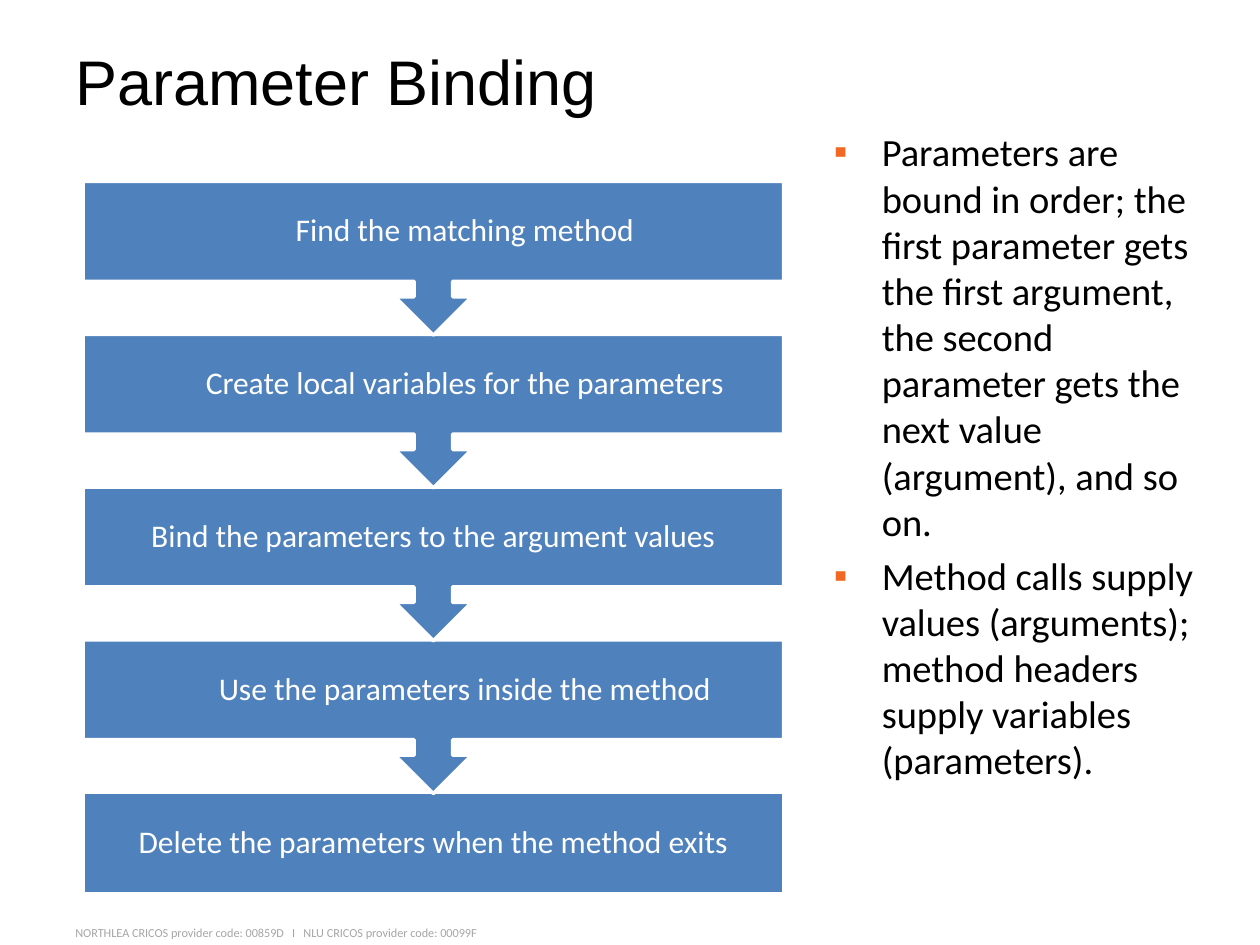
from dataclasses import dataclass
from lxml import etree
from pptx import Presentation
from pptx.dml.color import RGBColor as RGB
from pptx.enum.shapes import MSO_SHAPE as Shape
from pptx.enum.text import MSO_ANCHOR as Anchor, PP_ALIGN as Align
from pptx.oxml.ns import qn
from pptx.util import Inches, Pt


@dataclass(frozen=True)
class Theme:
    ink: str = "000000"
    pale: str = "FFFFFF"
    blue: str = "4F81BD"
    spot: str = "F26721"
    gray: str = "A6A6A6"
    head: str = "Arial"
    body: str = "Calibri"
    title: int = 36
    point: int = 22
    step: int = 18
    foot: int = 7


look = Theme()
deck = Presentation()
deck.slide_width, deck.slide_height = Inches(10), Inches(7.5)
slide = deck.slides.add_slide(deck.slide_layouts[6])


def place(left, top, wide, high):
    cols, rows = deck.slide_width / 100, deck.slide_height / 100
    return [round(n) for n in (left * cols, top * rows, wide * cols, high * rows)]


def write(para, text, size, color, face=look.body):
    run = para.add_run()
    run.text = text
    run.font.size = Pt(size)
    run.font.name = face
    run.font.color.rgb = RGB.from_string(color)


foot = slide.shapes.add_textbox(*place(5, 97.2, 88.5, 2.8)).text_frame
foot.word_wrap = True
write(foot.paragraphs[0], "NORTHLEA CRICOS provider code: 00859D   I   NLU CRICOS provider code: 00099F",
      look.foot, look.gray)

title = slide.shapes.add_textbox(*place(5, 4, 90, 8.93)).text_frame
title.word_wrap = True
title.vertical_anchor = Anchor.MIDDLE
write(title.paragraphs[0], "Parameter Binding", look.title, look.ink, look.head)

points = [
    "Parameters are bound in order; the first parameter gets the first argument, "
    "the second parameter gets the next value (argument), and so on.",
    "Method calls supply values (arguments); method headers supply variables (parameters).",
]
body = slide.shapes.add_textbox(*place(65.2, 12.93, 31.5, 84.53)).text_frame
body.word_wrap = True
for i, text in enumerate(points):
    para = body.add_paragraph() if i else body.paragraphs[0]
    para.space_before = Pt(look.point * 0.2)
    props = para._p.get_or_add_pPr()
    props.set("marL", str(Inches(0.38)))
    props.set("indent", str(-Inches(0.38)))
    tint = etree.SubElement(props, qn("a:buClr"))
    etree.SubElement(tint, qn("a:srgbClr"), val=look.spot)
    etree.SubElement(props, qn("a:buFont"), typeface=look.head)
    etree.SubElement(props, qn("a:buChar"), char="▪")
    write(para, text, look.point, look.ink)

steps = [
    ("\t", "Find the matching method"),
    ("\t", "Create local variables for the parameters"),
    ("", "Bind the parameters to the argument values"),
    ("\t", "Use the parameters inside the method"),
    ("", "Delete the parameters when the method exits"),
]
last = len(steps) - 1
for i, (tab, text) in reversed(list(enumerate(steps))):
    kind, high = (Shape.RECTANGLE, 10.67) if i == last else (Shape.DOWN_ARROW_CALLOUT, 16.27)
    step = slide.shapes.add_shape(kind, *place(6.6, 19.2 + 16.17 * i, 55.6, high))
    step.shadow.inherit = False
    step.fill.solid()
    step.fill.fore_color.rgb = RGB.from_string(look.blue)
    step.line.color.rgb = RGB.from_string(look.pale)
    step.line.width = Pt(2)
    frame = step.text_frame
    frame.word_wrap = True
    frame.vertical_anchor = Anchor.MIDDLE
    frame.margin_left = frame.margin_right = Inches(0.14)
    frame.margin_top = frame.margin_bottom = Inches(0.14)
    para = frame.paragraphs[0]
    para.alignment = Align.CENTER
    para.line_spacing = 0.9
    if tab:
        write(para, tab, look.step, look.spot)
    write(para, text, look.step, look.pale)

deck.save("out.pptx")
